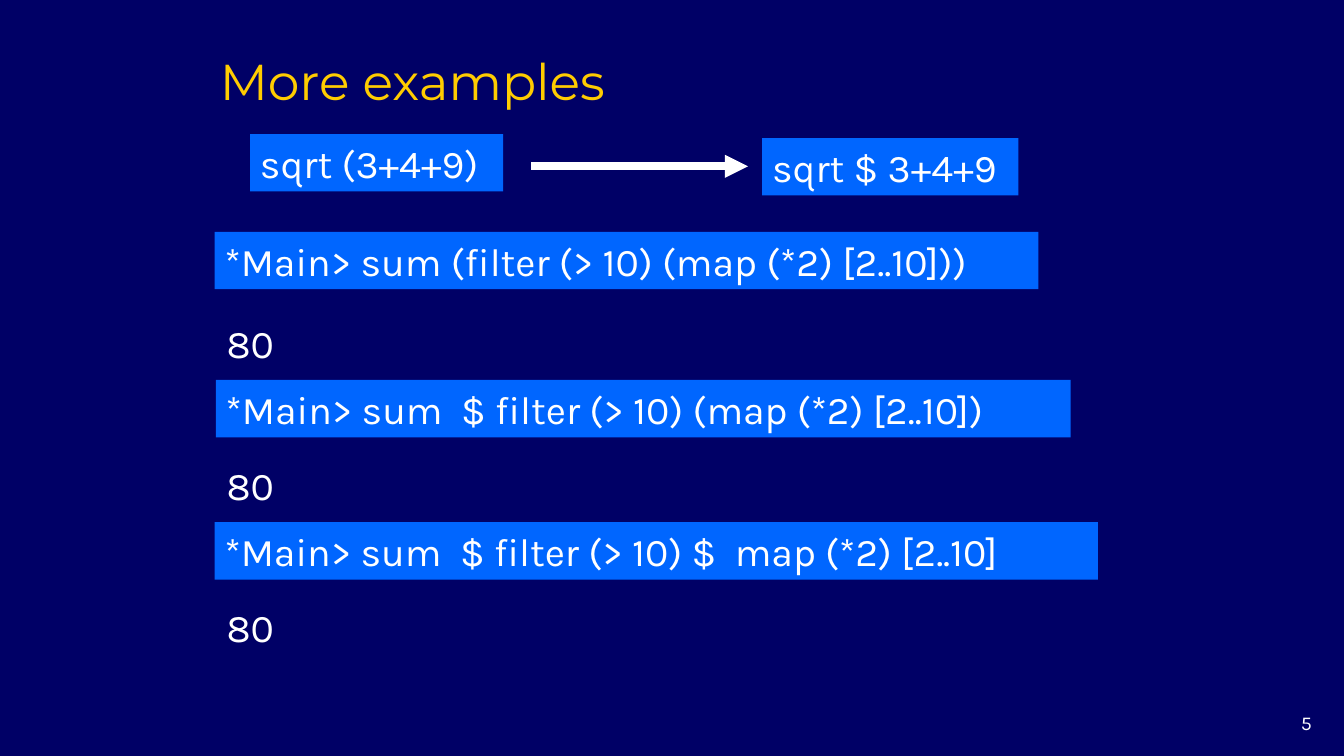
from dataclasses import dataclass

from lxml import etree
from pptx import Presentation
from pptx.dml.color import RGBColor
from pptx.enum.shapes import MSO_CONNECTOR, MSO_SHAPE
from pptx.enum.text import MSO_ANCHOR, MSO_AUTO_SIZE, PP_ALIGN
from pptx.oxml.ns import qn
from pptx.util import Inches, Pt

LEFT, RIGHT = PP_ALIGN.LEFT, PP_ALIGN.RIGHT
TOP, MIDDLE = MSO_ANCHOR.TOP, MSO_ANCHOR.MIDDLE
NO_AUTOFIT = MSO_AUTO_SIZE.NONE
RECTANGLE = MSO_SHAPE.RECTANGLE
STRAIGHT = MSO_CONNECTOR.STRAIGHT


@dataclass(frozen=True)
class Theme:
    background: str = "000066"
    box: str = "0066FF"
    text: str = "FFFFFF"
    title: str = "FFCC00"
    title_font: str = "Montserrat"
    body_font: str = "Karla"
    title_size: int = 36
    code_size: int = 28
    number_size: int = 14
    arrow_width: float = 5.5


THEME = Theme()

# Content: code boxes as (text, left, top, width)
TITLE = "More examples"
SLIDE_NUMBER = "5"
CODE_BOXES = [
    ("sqrt (3+4+9)", 2.48, 1.33, 2.51),
    ("sqrt $ 3+4+9", 7.56, 1.37, 2.54),
    ("*Main> sum (filter (> 10) (map (*2) [2..10]))", 2.13, 2.3, 8.17),
    ("*Main> sum  $ filter (> 10) (map (*2) [2..10])", 2.14, 3.77, 8.48),
    ("*Main> sum  $ filter (> 10) $  map (*2) [2..10]", 2.13, 5.18, 8.76),
]
RESULTS = ["80", "80", "80"]

# Layout
CODE_HEIGHT = 0.57
RESULT_GAP = 68
ARROW_START, ARROW_END, ARROW_Y = 5.27, 7.42, 1.65


def color(value):
    return RGBColor.from_string(value)


def place(shape, left, top, width, height):
    shape.left, shape.top = Inches(left), Inches(top)
    shape.width, shape.height = Inches(width), Inches(height)


def write(shape, *lines, size=THEME.code_size, font=THEME.body_font,
          ink=THEME.text, align=LEFT, anchor=MIDDLE, wrap=True, gap=0):
    frame = shape.text_frame
    frame.auto_size = NO_AUTOFIT
    frame.word_wrap = wrap
    frame.vertical_anchor = anchor
    for index, line in enumerate(lines):
        paragraph = frame.add_paragraph() if index else frame.paragraphs[0]
        paragraph.alignment = align
        paragraph.space_before = Pt(gap if index else 0)
        run = paragraph.add_run()
        run.text = line
        run.font.name = font
        run.font.size = Pt(size)
        run.font.color.rgb = color(ink)


def add_text(slide, left, top, width, height, *lines, **text_format):
    box = slide.shapes.add_textbox(0, 0, 0, 0)
    place(box, left, top, width, height)
    write(box, *lines, **text_format)


def add_code_box(slide, text, left, top, width):
    shape = slide.shapes.add_shape(RECTANGLE, 0, 0, 0, 0)
    place(shape, left, top, width, CODE_HEIGHT)
    shape.shadow.inherit = False
    shape.fill.solid()
    shape.fill.fore_color.rgb = color(THEME.box)
    shape.line.fill.background()
    write(shape, text, wrap=False)


def add_arrow(slide, start, end, y):
    arrow = slide.shapes.add_connector(
        STRAIGHT, Inches(start), Inches(y), Inches(end), Inches(y))
    arrow.line.color.rgb = color(THEME.text)
    arrow.line.width = Pt(THEME.arrow_width)
    properties = arrow.element.spPr
    etree.SubElement(properties.find(qn("a:ln")), qn("a:tailEnd"), type="triangle")
    etree.SubElement(properties, qn("a:effectLst"))


def main():
    presentation = Presentation()
    presentation.slide_width = Inches(13.33)
    presentation.slide_height = Inches(7.5)
    slide = presentation.slides.add_slide(presentation.slide_layouts[5])
    slide.background.fill.solid()
    slide.background.fill.fore_color.rgb = color(THEME.background)

    # Title and slide number
    title = slide.shapes.title
    place(title, 2.08, 0.42, 8.5, 0.75)
    write(title, TITLE, size=THEME.title_size, font=THEME.title_font, ink=THEME.title)
    add_text(slide, 12.22, 7, 0.89, 0.33, SLIDE_NUMBER,
             size=THEME.number_size, align=RIGHT, anchor=TOP)

    # Results between the code boxes
    add_text(slide, 2.15, 3.11, 9.19, 3.4, *RESULTS, gap=RESULT_GAP)

    # Code boxes and the arrow between the first two
    for code_box in CODE_BOXES:
        add_code_box(slide, *code_box)
    add_arrow(slide, ARROW_START, ARROW_END, ARROW_Y)

    presentation.save("out.pptx")


if __name__ == "__main__":
    main()
